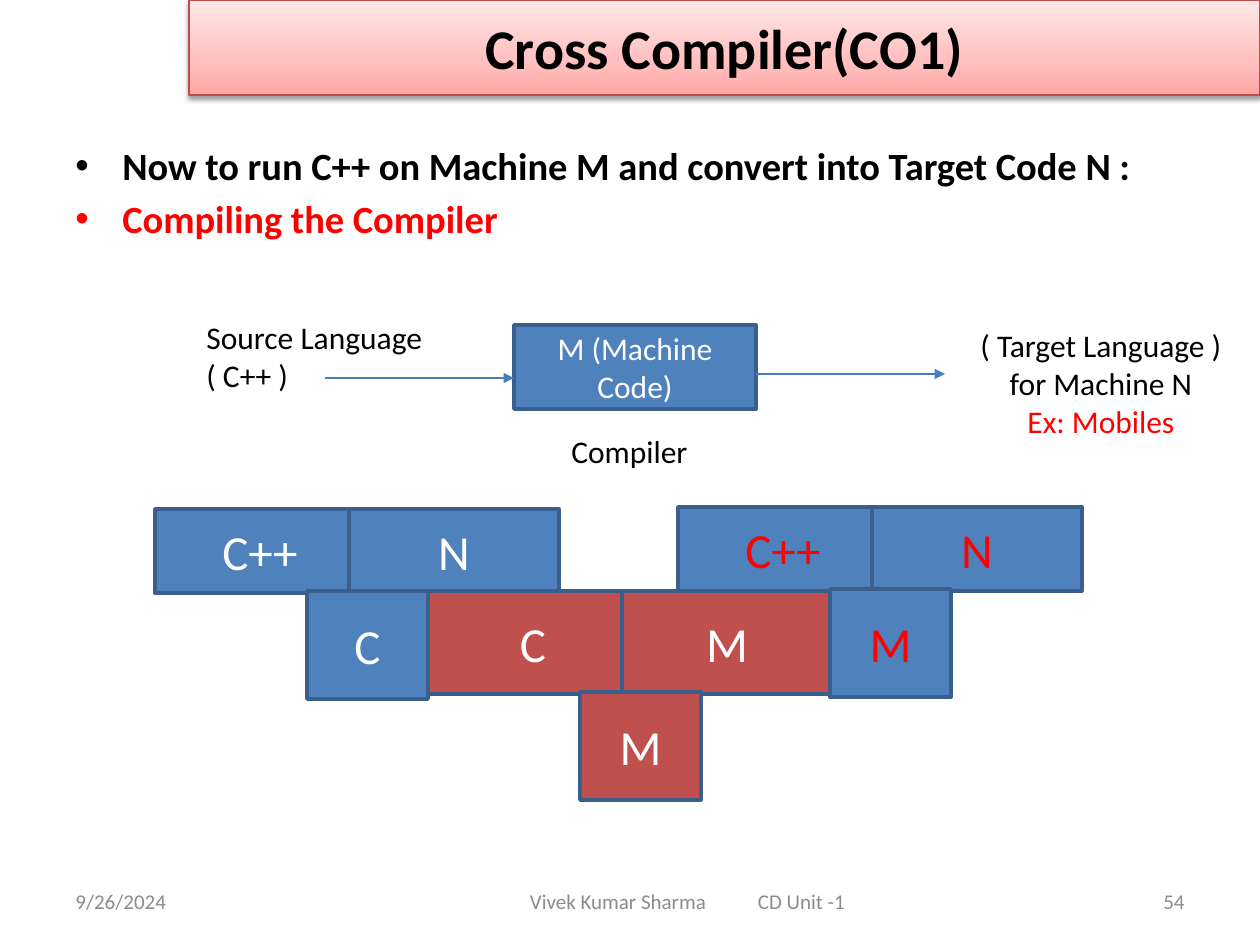
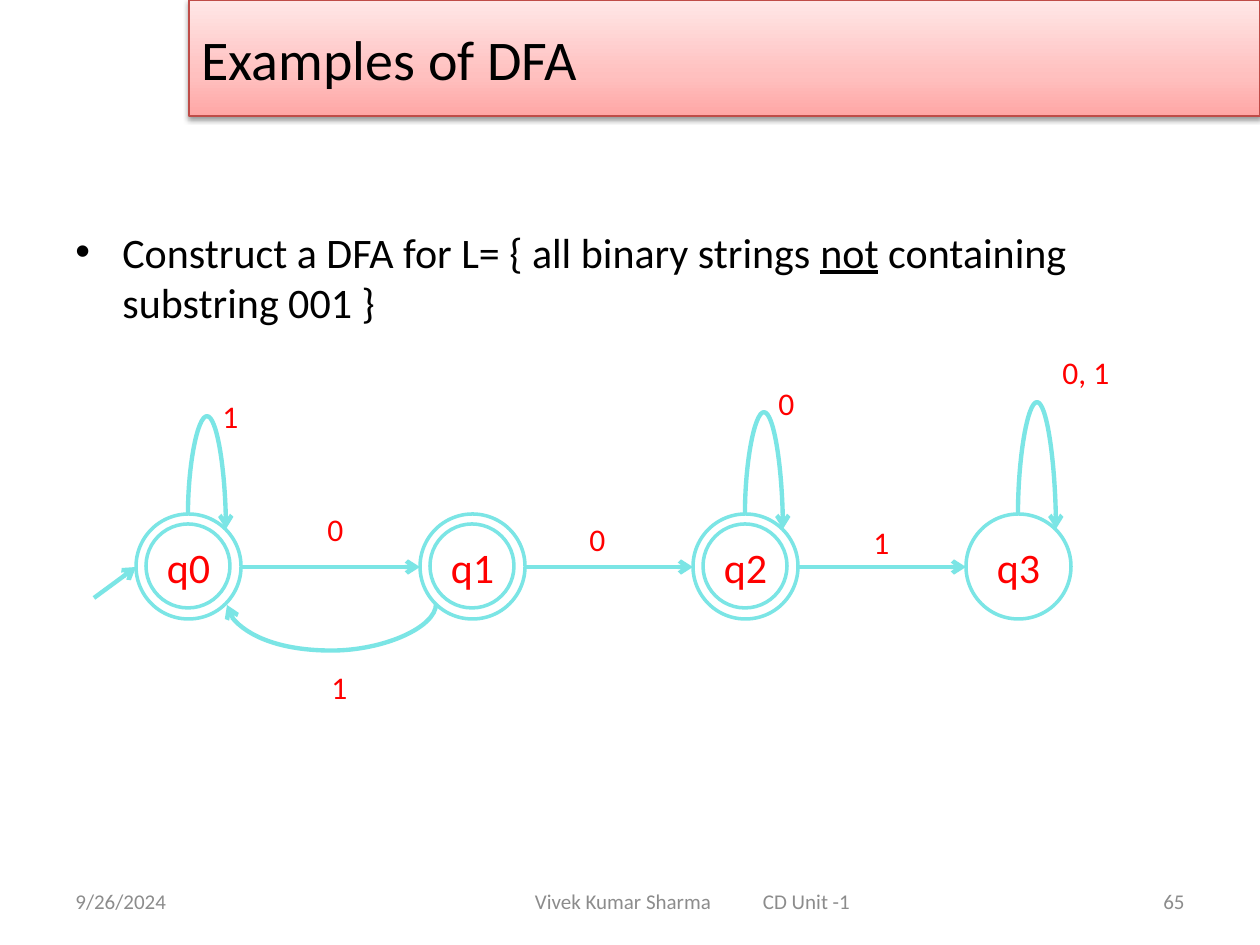
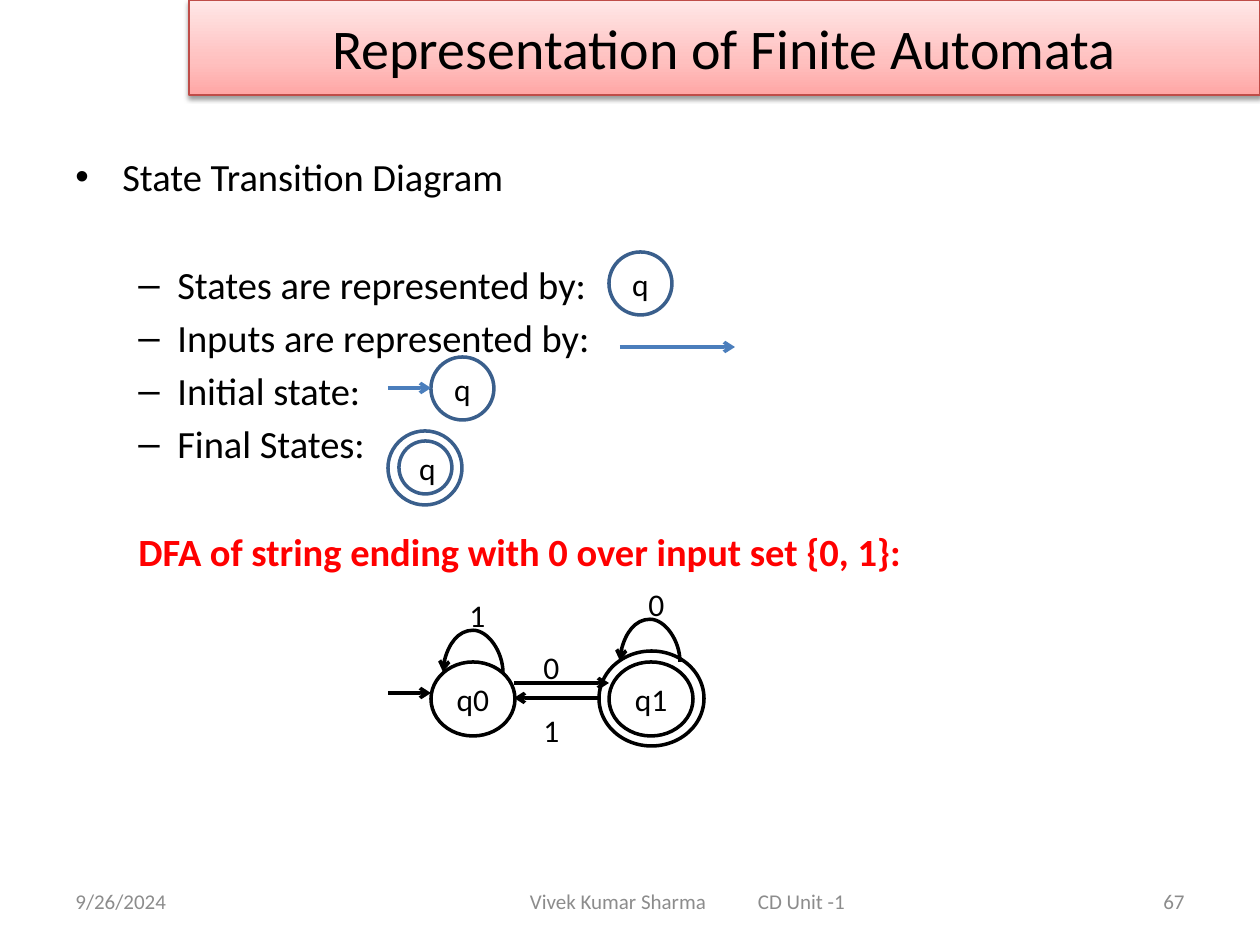
import dataclasses

import lxml.etree
import pptx
import pptx.dml.color
import pptx.enum.dml
import pptx.enum.shapes
import pptx.enum.text
import pptx.oxml.ns
import pptx.util

qn = pptx.oxml.ns.qn
ALIGN = pptx.enum.text.PP_ALIGN
ANCHOR = pptx.enum.text.MSO_ANCHOR
SHAPE = pptx.enum.shapes.MSO_SHAPE
CONNECTOR = pptx.enum.shapes.MSO_CONNECTOR


@dataclasses.dataclass(frozen=True)
class Theme:
    font: str = "Calibri"
    black: str = "000000"
    white: str = "FFFFFF"
    red: str = "FF0000"
    grey: str = "8C8C8C"
    blue: str = "4F81BD"
    brick: str = "C0504D"
    outline: str = "3A5F8C"
    arrow: str = "4B7EBC"
    aqua: str = "7BE5E5"
    title_line: str = "BF4C48"
    title_stops: tuple = ((0, "FFA6A5"), (35, "FFC0BF"), (100, "FFE7E7"))
    title_size: int = 32
    block_size: int = 28
    large_size: int = 24
    body_size: int = 22
    label_size: int = 18
    footer_size: int = 12


THEME = Theme()


def px(length):
    return pptx.util.Emu(round(length * 914400 / 126))


def rgb(color):
    return pptx.dml.color.RGBColor.from_string(color)


def add_child(parent, tag, **attributes):
    return lxml.etree.SubElement(
        parent, qn(tag), {name: str(value) for name, value in attributes.items()})


def style_font(paragraph, size, color, bold=False):
    font = paragraph.font
    font.name, font.size, font.bold = THEME.font, pptx.util.Pt(size), bold
    font.color.rgb = rgb(color)


def write(shape, lines, size, color, align=ALIGN.LEFT, anchor=ANCHOR.TOP, bold=False):
    """Fill a shape with lines; a line may be a (text, color) pair."""
    frame = shape.text_frame
    frame.word_wrap = True
    frame.vertical_anchor = anchor
    for index, line in enumerate(lines):
        text, line_color = line if isinstance(line, tuple) else (line, color)
        paragraph = frame.add_paragraph() if index else frame.paragraphs[0]
        paragraph.text = text
        paragraph.alignment = align
        style_font(paragraph, size, line_color, bold)


def add_text(slide, box, lines, size, color, align=ALIGN.LEFT, anchor=ANCHOR.TOP):
    shape = slide.shapes.add_textbox(*map(px, box))
    write(shape, lines, size, color, align, anchor)
    return shape


def add_block(shapes, kind, box, line, text="", size=THEME.label_size,
              color=THEME.black, fill=None):
    shape = shapes.add_shape(kind, *map(px, box))
    shape.shadow.inherit = False
    if fill:
        shape.fill.solid()
        shape.fill.fore_color.rgb = rgb(fill)
    else:
        shape.fill.background()
    shape.line.color.rgb = rgb(line)
    shape.line.width = pptx.util.Pt(2)
    if text:
        write(shape, [text], size, color, ALIGN.CENTER, ANCHOR.MIDDLE)
    return shape


def style_arrow(connector, color, width, head):
    connector.line.color.rgb = rgb(color)
    connector.line.width = pptx.util.Pt(width)
    properties = connector._element.spPr
    add_child(properties.find(qn("a:ln")), "a:tailEnd", type=head)
    add_child(properties, "a:effectLst")


def add_arrow(slide, start, end, color, width=2, head="arrow"):
    connector = slide.shapes.add_connector(
        CONNECTOR.STRAIGHT, *map(px, (*start, *end)))
    style_arrow(connector, color, width, head)


def add_loop(slide, start, end, peak, color, width):
    """Curve that leaves start vertically, turns at height peak and comes back to end."""
    across, down = end[0] - start[0], end[1] - start[1]
    center_x, center_y = (start[0] + end[0]) / 2, (start[1] + end[1]) / 2
    left, top = center_x - abs(down) / 2, center_y - abs(across) / 2
    connector = slide.shapes.add_connector(
        CONNECTOR.CURVE, px(left), px(top),
        px(left + abs(down)), px(top + abs(across)))
    degrees, flip = {(True, True): (270, "flipH"),
                     (False, False): (270, "flipV"),
                     (False, True): (90, None)}[across > 0, down > 0]
    properties = connector._element.spPr
    transform = properties.find(qn("a:xfrm"))
    transform.set("rot", str(degrees * 60000))
    if flip:
        transform.set(flip, "1")
    geometry = properties.find(qn("a:prstGeom"))
    for values in geometry.findall(qn("a:avLst")):
        geometry.remove(values)
    turn = round((peak - start[1]) / down * 100000)
    add_child(add_child(geometry, "a:avLst"), "a:gd", name="adj1", fmla=f"val {turn}")
    style_arrow(connector, color, width, "arrow")


def add_title(slide, text, height=95, align=ALIGN.CENTER, bold=False):
    shape = slide.shapes.add_shape(SHAPE.RECTANGLE, *map(px, (189, 0, 1071, height)))
    shape.fill.gradient()
    shape.fill.gradient_angle = 90
    properties = shape._element.spPr
    stops = properties.find(qn("a:gradFill")).find(qn("a:gsLst"))
    for stop in list(stops):
        stops.remove(stop)
    for position, color in THEME.title_stops:
        add_child(add_child(stops, "a:gs", pos=position * 1000), "a:srgbClr", val=color)
    shape.line.color.rgb = rgb(THEME.title_line)
    shape.line.width = pptx.util.Pt(0.75)
    shadow = add_child(add_child(properties, "a:effectLst"), "a:outerShdw",
                       blurRad=pptx.util.Pt(3.1), dist=pptx.util.Pt(1.6),
                       dir=5400000, rotWithShape=0)
    add_child(add_child(shadow, "a:srgbClr", val=THEME.black), "a:alpha", val=38000)
    write(shape, [text], THEME.title_size, THEME.black, align, ANCHOR.MIDDLE, bold)


def add_footer(slide, number, left=305, width=766):
    """Date, author with unit, and slide number; left and width give the middle box."""
    top, height = 876, 50
    style = THEME.footer_size, THEME.grey
    add_text(slide, (63, top, 294, height), ["9/26/2024"], *style, anchor=ANCHOR.MIDDLE)
    middle = slide.shapes.add_textbox(*map(px, (left, top, width, height)))
    middle.text_frame.margin_left = px(width / 2 - 158)
    tabs = add_child(middle.text_frame.paragraphs[0]._p.get_or_add_pPr(), "a:tabLst")
    add_child(tabs, "a:tab", pos=px(228), algn="l")
    write(middle, ["Vivek Kumar Sharma\tCD Unit -1"], *style, anchor=ANCHOR.MIDDLE)
    add_text(slide, (903, top, 294, height), [str(number)], *style,
             ALIGN.RIGHT, ANCHOR.MIDDLE)


@dataclasses.dataclass(frozen=True)
class Item:
    runs: tuple
    bullet: str = "•"
    margin: int = 47
    hanging: int = 47
    color: str = THEME.black
    bold: bool = False
    before: int = 4


def add_body(slide, top, items, size=THEME.body_size, align=ALIGN.LEFT):
    """Bulleted text; every second run of an item is underlined."""
    shape = slide.shapes.add_textbox(*map(px, (63, top, 1134, 844 - top)))
    frame = shape.text_frame
    frame.word_wrap = True
    for index, item in enumerate(items):
        paragraph = frame.add_paragraph() if index else frame.paragraphs[0]
        properties = paragraph._p.get_or_add_pPr()
        properties.set("marL", str(px(item.margin)))
        properties.set("indent", str(px(-item.hanging)))
        if item.bullet:
            add_child(properties, "a:buFont", typeface="Arial")
            add_child(properties, "a:buChar", char=item.bullet)
        else:
            add_child(properties, "a:buNone")
        paragraph.alignment = align
        if index:
            paragraph.space_before = pptx.util.Pt(item.before)
        style_font(paragraph, size, item.color, item.bold)
        for position, text in enumerate(item.runs):
            run = paragraph.add_run()
            run.text = text
            if position % 2:
                run.font.underline = True


def add_compiler_flow(slide, left, top):
    size = THEME.label_size
    add_block(slide.shapes, SHAPE.RECTANGLE, (left + 320, top + 13, 242, 84),
              THEME.outline, "M (Machine Code)", size, THEME.white, THEME.blue)
    for start, end, height in ((131, 320, 66), (562, 751, 62)):
        add_arrow(slide, (left + start, top + height), (left + end, top + height),
                  THEME.arrow, 0.75, "triangle")
    add_text(slide, (left, top, 262, 89), ["Source Language", "( C++ )"],
             size, THEME.black)
    add_text(slide, (left + 769, top + 8, 276, 127),
             ["( Target Language ) for Machine N", ("Ex: Mobiles", THEME.red)],
             size, THEME.black, ALIGN.CENTER)
    add_text(slide, (left + 365, top + 114, 151, 50), ["Compiler"], size, THEME.black)


def add_t_diagram(slide, left, top, names, fill, color, arm_height=84):
    """T of source and target arms over the implementation language."""
    shapes = slide.shapes.add_group_shape().shapes
    boxes = ((0, 0, 210, arm_height), (194, 0, 210, arm_height),
             (152, arm_height - 2, 121, 108))
    for name, (x, y, width, height) in zip(names, boxes):
        add_block(shapes, SHAPE.RECTANGLE, (left + x, top + y, width, height),
                  THEME.outline, name, THEME.block_size, color, fill)


def add_substring_automaton(slide, left, top):
    color, width, diameter = THEME.aqua, 2.5, 105
    middle = top + 53
    states = [left + offset for offset in (0, 284, 557, 830)]
    for index, x in enumerate(states):
        add_block(slide.shapes, SHAPE.OVAL, (x, top, diameter, diameter), color,
                  f"q{index}", THEME.large_size, THEME.red)
        if index < 3:
            add_block(slide.shapes, SHAPE.OVAL, (x + 10, top + 10, 84, 84), color)
    add_arrow(slide, (left - 42, top + 84), (left, middle), color, width)
    for x, following in zip(states, states[1:]):
        add_arrow(slide, (x + diameter, middle), (following, middle), color, width)
    for index, peak in ((0, -98), (2, -102), (3, -112)):
        x = states[index]
        add_loop(slide, (x + 52, top), (x + 90, top + 15), top + peak, color, width)
    add_loop(slide, (left + 300, top + 90), (left + 91, top + 91), top + 137,
             color, width)
    for text, x, y in (("0", 179, -10), ("0", 441, 0), ("1", 725, 3), ("1", 183, 148),
                       ("1", 74, -123), ("0", 630, -136), ("0, 1", 914, -167)):
        add_text(slide, (left + x, top + y, 80, 50), [text],
                 THEME.label_size, THEME.red)


def add_symbol_legend(slide, left, top):
    for x, y, diameter, text in ((221, 0, 63, "q"), (43, 105, 63, "q"),
                                 (11, 189, 53, "q"), (0, 179, 74, "")):
        add_block(slide.shapes, SHAPE.OVAL, (left + x, top + y, diameter, diameter),
                  THEME.outline, text)
    for start, end, y in ((232, 347, 95), (0, 43, 136)):
        add_arrow(slide, (left + start, top + y), (left + end, top + y), THEME.arrow)


def add_ending_automaton(slide, left, top):
    for x, y, width, height, text in ((43, 11, 84, 74, "q0"), (221, 11, 84, 74, "q1"),
                                      (211, 0, 105, 95, "")):
        add_block(slide.shapes, SHAPE.OVAL, (left + x, top + y, width, height),
                  THEME.black, text)
    for start, end, y in ((0, 43, 42), (126, 221, 32), (211, 126, 47)):
        add_arrow(slide, (left + start, top + y), (left + end, top + y), THEME.black)
    for x, y in ((55, 21), (232, 10)):
        add_loop(slide, (left + x + 60, top + y + 1), (left + x, top + y),
                 top + y - 42, THEME.black, 2)
    for text, x, y in (("0", 242, -63), ("1", 137, 63), ("1", 63, -52), ("0", 137, 0)):
        add_text(slide, (left + x, top + y, 53, 32), [text], THEME.label_size,
                 THEME.black, ALIGN.CENTER, ANCHOR.MIDDLE)


def build_cross_compiler(slide):
    add_footer(slide, 54)
    add_title(slide, "Cross Compiler(CO1)", bold=True)
    add_body(slide, 136, [
        Item(("Now to run C++ on Machine M and convert into Target Code N :",), bold=True),
        Item(("Compiling the Compiler",), color=THEME.red, bold=True),
    ], align=ALIGN.JUSTIFY)
    add_compiler_flow(slide, 194, 312)
    add_t_diagram(slide, 155, 509, ("C++", "N", "C"), THEME.blue, THEME.white)
    add_t_diagram(slide, 428, 591, ("C", "M", "M"), THEME.brick, THEME.white, 103)
    add_t_diagram(slide, 678, 507, ("C++", "N", "M"), THEME.blue, THEME.red)


def build_dfa_example(slide):
    add_footer(slide, 65, 346, 694)
    add_title(slide, "Examples of DFA", 116, ALIGN.LEFT)
    add_body(slide, 220, [Item(("Construct a DFA for L= { all binary strings ", "not",
                                " containing substring 001 }"))], THEME.large_size)
    add_substring_automaton(slide, 136, 514)


def build_representation(slide):
    add_footer(slide, 67)
    add_title(slide, "Representation of Finite Automata")
    points = ("States are represented by:", "Inputs are represented by:",
              "Initial state:", "Final States:")
    add_body(slide, 147, [
        Item(("State Transition Diagram",)),
        *(Item((point,), "–", 102, 39, before=4 if index else 35)
          for index, point in enumerate(points)),
        Item(("DFA of string ending with 0 over input set {0, 1}:",), "", 63, 0,
             THEME.red, True, 35),
    ])
    add_symbol_legend(slide, 388, 252)
    add_ending_automaton(slide, 388, 651)


def main():
    presentation = pptx.Presentation()
    presentation.slide_width, presentation.slide_height = px(1260), px(945)
    for build in (build_cross_compiler, build_dfa_example, build_representation):
        build(presentation.slides.add_slide(presentation.slide_layouts[6]))
    presentation.save("out.pptx")


if __name__ == "__main__":
    main()
